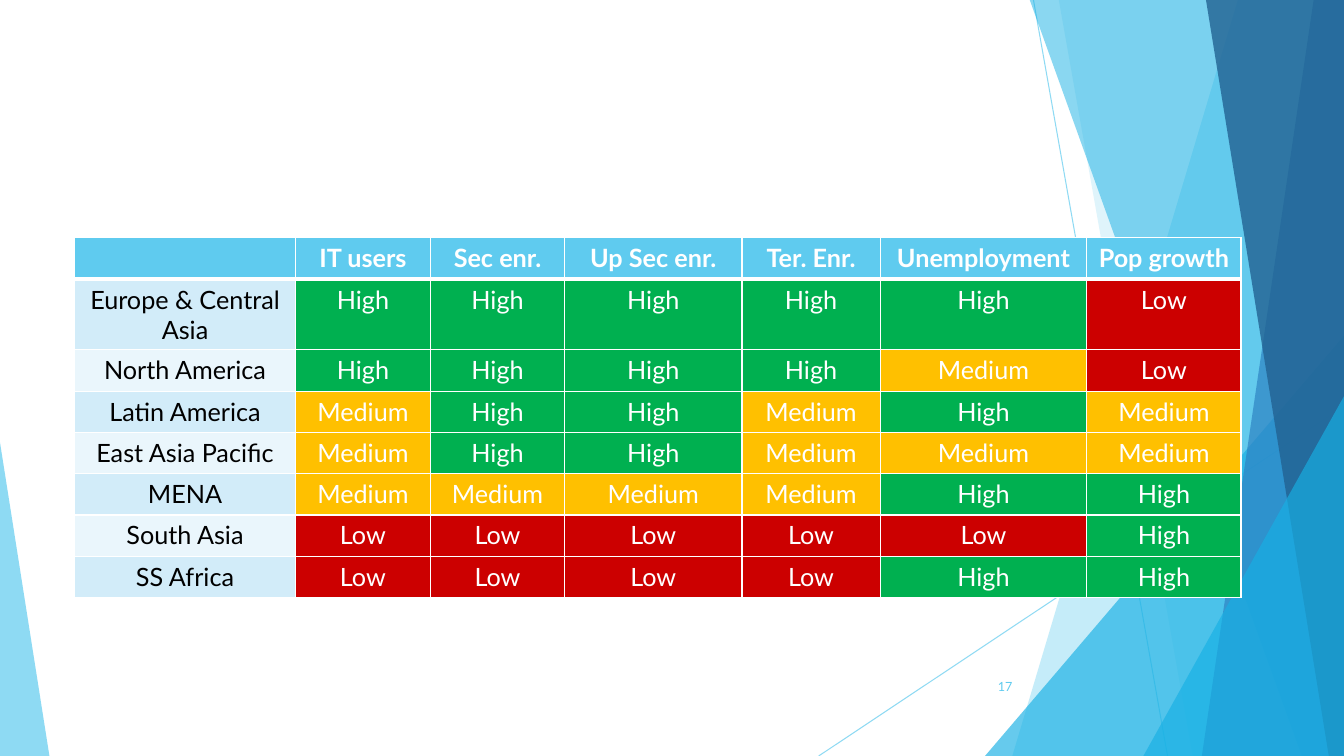
from dataclasses import dataclass

from pptx import Presentation
from pptx.dml.color import RGBColor
from pptx.enum.shapes import MSO_CONNECTOR, MSO_SHAPE
from pptx.enum.text import MSO_ANCHOR as ANCHOR, PP_ALIGN as ALIGN
from pptx.oxml.ns import qn
from pptx.util import Pt
from lxml.etree import SubElement

PX = 9144  # EMU per px, 100 px to the inch
SLIDE_W, SLIDE_H = 1333, 750


@dataclass(frozen=True)
class Theme:
    font: str = "Lato"
    table_size: int = 18
    number_size: int = 9
    hairline: float = 0.75
    white: str = "FFFFFF"
    black: str = "000000"
    sky: str = "5FCBEF"
    cyan: str = "17B0E4"
    blue: str = "2E83C3"
    navy: str = "226292"
    bands: tuple = ("D2ECF9", "EAF6FC")


THEME = Theme()
RATINGS = {
    "H": ("High", "00B050"),
    "M": ("Medium", "FFC000"),
    "L": ("Low", "CC0000"),
}
INDICATORS = ["IT users", "Sec enr.", "Up Sec enr.", "Ter. Enr.",
              "Unemployment", "Pop growth"]
REGIONS = [
    ("Europe & Central Asia", "HHHHHL"),
    ("North America", "HHHHML"),
    ("Latin America", "MHHMHM"),
    ("East Asia Pacific", "MHHMMM"),
    ("MENA", "MMMMHH"),
    ("South Asia", "LLLLLH"),
    ("SS Africa", "LLLLHH"),
]
COLUMN_WIDTHS = [219, 134, 133, 176, 137, 205, 153]


def px(*lengths):
    return [n * PX for n in lengths]


def rgb(code):
    return RGBColor.from_string(code)


def set_opacity(sp, percent):
    for color in sp.element.spPr.iter(qn("a:srgbClr")):
        SubElement(color, qn("a:alpha"), val=str(percent * 1000))


def style_facet(sp, color, opacity):
    sp.shadow.inherit = False
    sp.fill.solid()
    sp.fill.fore_color.rgb = rgb(color)
    sp.line.fill.background()
    set_opacity(sp, opacity)


def add_run(p, text, size, color, bold=False):
    r = p.add_run()
    r.text = text
    r.font.name = THEME.font
    r.font.size = Pt(size)
    r.font.bold = bold
    r.font.color.rgb = rgb(color)


def add_hairline(slide, x1, y1, x2, y2):
    line = slide.shapes.add_connector(MSO_CONNECTOR.STRAIGHT, *px(x1, y1, x2, y2))
    line.line.width = Pt(THEME.hairline)
    line.line.color.rgb = rgb(THEME.sky)
    set_opacity(line, 70)
    SubElement(line.element.spPr, qn("a:effectLst"))


def add_facet(slide, top_x, bottom_x, color, opacity):
    """Fill from a slanted left edge to the right edge of the slide."""
    builder = slide.shapes.build_freeform(top_x, -1, scale=PX)
    builder.add_line_segments(
        [(SLIDE_W, -1), (SLIDE_W, SLIDE_H), (bottom_x, SLIDE_H)], close=True)
    style_facet(builder.convert_to_shape(), color, opacity)


def add_corner(slide, box, apex, color, opacity):
    """Triangle whose apex is at 0 (left) or 1 (right) of its width."""
    sp = slide.shapes.add_shape(MSO_SHAPE.ISOSCELES_TRIANGLE, *px(*box))
    sp.adjustments[0] = apex
    style_facet(sp, color, opacity)


def add_backdrop(slide):
    add_hairline(slide, 1025, 0, 1158, SLIDE_H)
    add_hairline(slide, SLIDE_W, 403, 812, SLIDE_H)
    add_facet(slide, 1228, 1004, THEME.sky, 36)
    add_facet(slide, 1050, 1183, THEME.sky, 20)
    add_corner(slide, (977, 333, 356, 417), 1, THEME.cyan, 66)
    add_facet(slide, 1021, 1291, THEME.cyan, 50)
    add_facet(slide, 1303, 1192, THEME.blue, 70)
    add_facet(slide, 1196, 1318, THEME.navy, 80)
    add_corner(slide, (1134, 393, 199, 357), 1, THEME.cyan, 66)
    add_corner(slide, (0, 439, 49, 311), 0, THEME.sky, 70)


def add_slide_number(slide, box, number):
    tf = slide.shapes.add_textbox(*px(*box)).text_frame
    tf.word_wrap = True
    tf.vertical_anchor = ANCHOR.MIDDLE
    p = tf.paragraphs[0]
    p.alignment = ALIGN.RIGHT
    add_run(p, number, THEME.number_size, THEME.sky)


def set_borders(cell, top, bottom):
    tc_pr = cell._tc.get_or_add_tcPr()
    for side, points in (("L", 1), ("R", 1), ("T", top), ("B", bottom)):
        ln = SubElement(tc_pr, qn(f"a:ln{side}"), w=str(Pt(points)))
        fill = SubElement(ln, qn("a:solidFill"))
        SubElement(fill, qn("a:srgbClr"), val=THEME.white)


def fill_cell(cell, text, fill, color, bold):
    cell.fill.solid()
    cell.fill.fore_color.rgb = rgb(fill)
    p = cell.text_frame.paragraphs[0]
    p.alignment = ALIGN.CENTER
    if text:
        add_run(p, text, THEME.table_size, color, bold)


def add_ratings_table(slide, left, top, row_height):
    n_rows, n_cols = len(REGIONS) + 1, len(COLUMN_WIDTHS)
    table = slide.shapes.add_table(
        n_rows, n_cols,
        *px(left, top, sum(COLUMN_WIDTHS), n_rows * row_height)).table
    for column, width in zip(table.columns, COLUMN_WIDTHS):
        column.width = width * PX

    rows = [[(text, THEME.sky, THEME.white) for text in ["", *INDICATORS]]]
    for i, (region, codes) in enumerate(REGIONS):
        label = (region, THEME.bands[i % 2], THEME.black)
        rows.append([label] + [(*RATINGS[code], THEME.white) for code in codes])

    for i, row in enumerate(rows):
        for j, (text, fill, color) in enumerate(row):
            cell = table.cell(i, j)
            set_borders(cell, top=3 if i == 1 else 1, bottom=3 if i == 0 else 1)
            fill_cell(cell, text, fill, color, bold=i == 0)


def main():
    prs = Presentation()
    prs.slide_width, prs.slide_height = px(SLIDE_W, SLIDE_H)
    slide = prs.slides.add_slide(prs.slide_layouts[6])
    add_backdrop(slide)
    add_slide_number(slide, (939, 661, 75, 40), "17")
    add_ratings_table(slide, left=74, top=236, row_height=41)
    prs.save("out.pptx")


if __name__ == "__main__":
    main()
